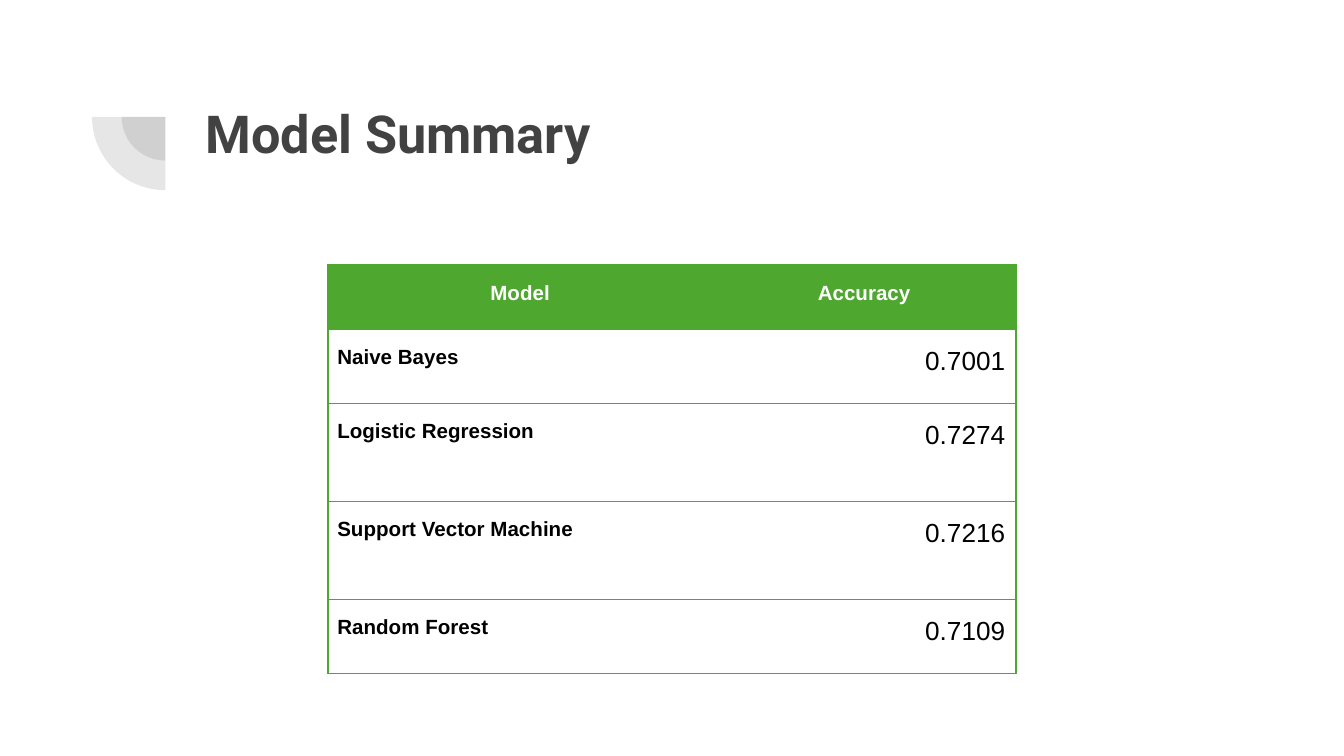
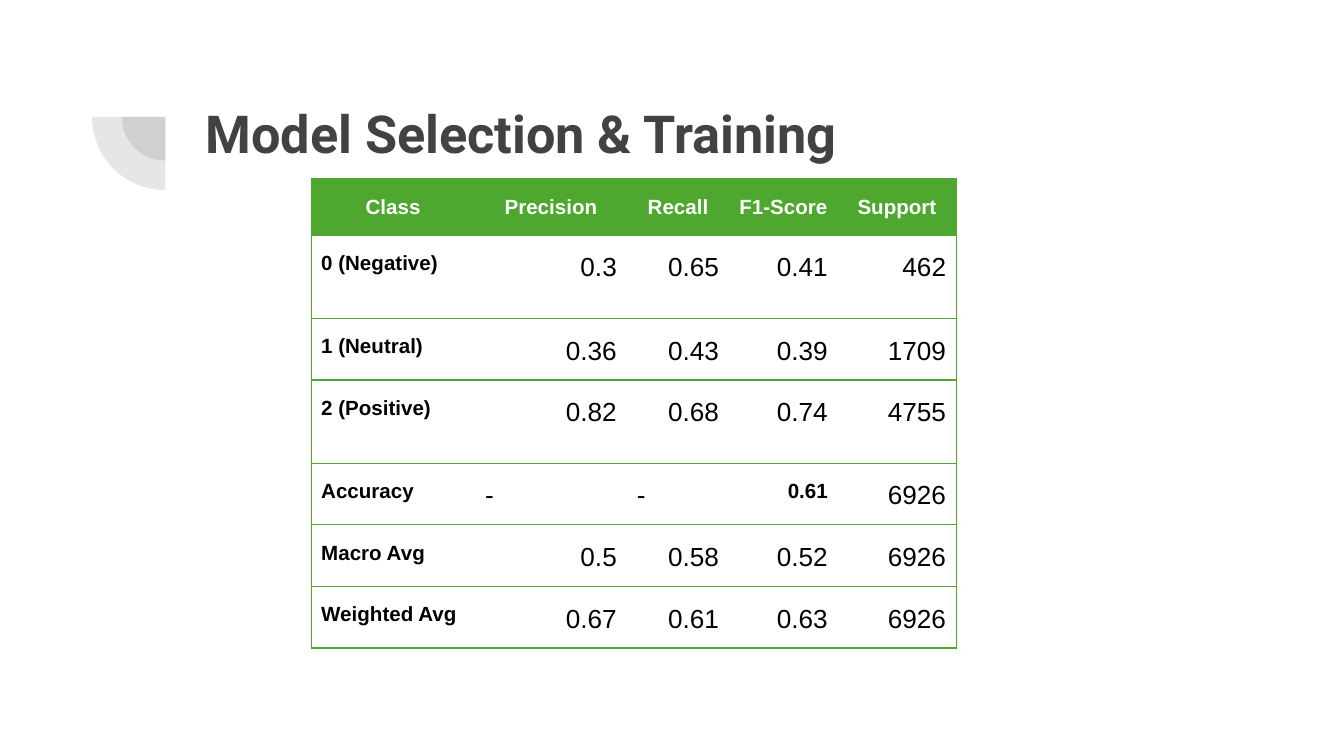
from lxml import etree
from pptx import Presentation, util as u
from pptx.dml.color import RGBColor
from pptx.enum import shapes, text
from pptx.oxml import ns

WIDTH = 10
HEIGHT = WIDTH * 9 / 16
COLORS = {"ink": "424242", "green": "4EA72E", "white": "FFFFFF", "black": "000000"}
ALIGN = {"l": text.PP_ALIGN.LEFT, "c": text.PP_ALIGN.CENTER, "r": text.PP_ALIGN.RIGHT}

# Text formats: size, bold, colour, font
TITLE = {"size": 28, "bold": True, "color": "ink", "name": "Roboto"}
HEAD = {"size": 11, "bold": True, "color": "white", "name": "Arial"}
LABEL = {**HEAD, "color": "black"}
VALUE = {**LABEL, "size": 14, "bold": False}
CELL_MARGINS = {"left": 0.07, "right": 0.08, "top": 0.1, "bottom": 0.09}

MARK_CENTER = (1.23, 0.87)
MARK_SIZES = (0.65, 1.09)

SUMMARY = [
    ("Model", "Accuracy"),
    ("Naive Bayes", "0.7001"),
    ("Logistic Regression", "0.7274"),
    ("Support Vector Machine", "0.7216"),
    ("Random Forest", "0.7109"),
]
REPORT = [
    ("Class", "Precision", "Recall", "F1-Score", "Support"),
    ("0 (Negative)", "0.3", "0.65", "0.41", "462"),
    ("1 (Neutral)", "0.36", "0.43", "0.39", "1709"),
    ("2 (Positive)", "0.82", "0.68", "0.74", "4755"),
    ("Accuracy", "-", "-", "0.61", "6926"),
    ("Macro Avg", "0.5", "0.58", "0.52", "6926"),
    ("Weighted Avg", "0.67", "0.61", "0.63", "6926"),
]


def rgb(name):
    return RGBColor.from_string(COLORS[name])


def sub(parent, tag, **attrs):
    return etree.SubElement(parent, ns.qn(tag), attrs)


def write(p, words, style):
    r = p.add_run()
    r.text = words
    formats = {**style, "size": u.Pt(style["size"])}
    r.font.color.rgb = rgb(formats.pop("color"))
    for key, value in formats.items():
        setattr(r.font, key, value)


def add_mark(s):
    """Two translucent quarter discs around one centre."""
    for size in MARK_SIZES:
        left, top = (u.Inches(c - size / 2) for c in MARK_CENTER)
        sp = s.shapes.add_shape(shapes.MSO_SHAPE.PIE, left, top,
                                u.Inches(size), u.Inches(size))
        sp.adjustments[0], sp.adjustments[1] = 108, 162
        sp.rotation = 270
        sp.shadow.inherit = False
        sp.line.fill.background()
        sp.fill.solid()
        sp.fill.fore_color.rgb = rgb("ink")
        color = sp.fill._xPr.find(ns.qn("a:solidFill"))[0]
        sub(color, "a:alpha", val="13000")


def add_title(s, words, height):
    sp = s.shapes.add_textbox(u.Inches(1.43), u.Inches(0.65),
                              u.Inches(7.69), u.Inches(height))
    tf = sp.text_frame
    tf.word_wrap = True
    for side in ("left", "right", "top", "bottom"):
        setattr(tf, f"margin_{side}", u.Inches(0.1))
    write(tf.paragraphs[0], words, TITLE)


def set_borders(cell, sides):
    """Green lines on the given sides, none on the others."""
    tcPr = cell._tc.get_or_add_tcPr()
    for side in "LRTB":
        ln = sub(tcPr, f"a:ln{side}", w=str(u.Pt(0.75)))
        if side in sides:
            fill = sub(ln, "a:solidFill")
            sub(fill, "a:srgbClr", val=COLORS["green"])
        else:
            sub(ln, "a:noFill")


def fill_cell(cell, words, style, align):
    for side, margin in CELL_MARGINS.items():
        setattr(cell, f"margin_{side}", u.Inches(margin))
    p = cell.text_frame.paragraphs[0]
    p.alignment = ALIGN[align]
    p.line_spacing = 1.15
    write(p, words, style)


def cell_format(row, col, words, strong):
    if row == 0:
        return HEAD, "c"
    if col == 0:
        return LABEL, "l"
    return (LABEL if (row, col) in strong else VALUE), ("l" if words == "-" else "r")


def add_table(s, left, top, cols, rows, data, strong=()):
    """Rows beyond the data stay empty above the header."""
    tbl = s.shapes.add_table(len(rows), len(cols), u.Inches(left), u.Inches(top),
                             u.Inches(sum(cols)), u.Inches(sum(rows))).table
    tbl.first_row = tbl.horz_banding = False
    for column, width in zip(tbl.columns, cols):
        column.width = u.Inches(width)
    for row, height in zip(tbl.rows, rows):
        row.height = u.Inches(height)

    spare, last = len(rows) - len(data), len(cols) - 1
    for i in range(len(rows)):
        for j in range(len(cols)):
            cell, row = tbl.cell(i, j), i - spare
            if row < 0:
                set_borders(cell, "B" if row == -1 else "")
                cell.fill.background()
                continue
            set_borders(cell, "TB" + "L" * (j == 0) + "R" * (j == last))
            if row == 0:
                cell.fill.solid()
                cell.fill.fore_color.rgb = rgb("green")
            else:
                cell.fill.background()
            words = data[row][j]
            fill_cell(cell, words, *cell_format(row, j, words, strong))
    return tbl


def add_slide(prs, title, title_height):
    s = prs.slides.add_slide(prs.slide_layouts[6])
    add_mark(s)
    add_title(s, title, title_height)
    return s


def main():
    prs = Presentation()
    prs.slide_width, prs.slide_height = u.Inches(WIDTH), u.Inches(HEIGHT)

    # Accuracy of each model, under a merged empty row
    s = add_slide(prs, "Model Summary", 1.09)
    tbl = add_table(s, 2.44, 0.98, (2.87, 2.25),
                    (0.49, 0.5, 0.48, 0.55, 0.73, 0.73, 0.55), SUMMARY)
    tbl.cell(0, 0).merge(tbl.cell(0, 1))

    # Scores by class, with the overall accuracy in bold
    s = add_slide(prs, "Model Selection & Training", 0.67)
    add_table(s, 2.32, 1.33, (1.22, 1.13, 0.76, 0.81, 0.88),
              (0.42, 0.62, 0.42, 0.62, 0.21, 0.42, 0.42), REPORT, strong={(4, 3)})

    prs.save("out.pptx")


if __name__ == "__main__":
    main()
